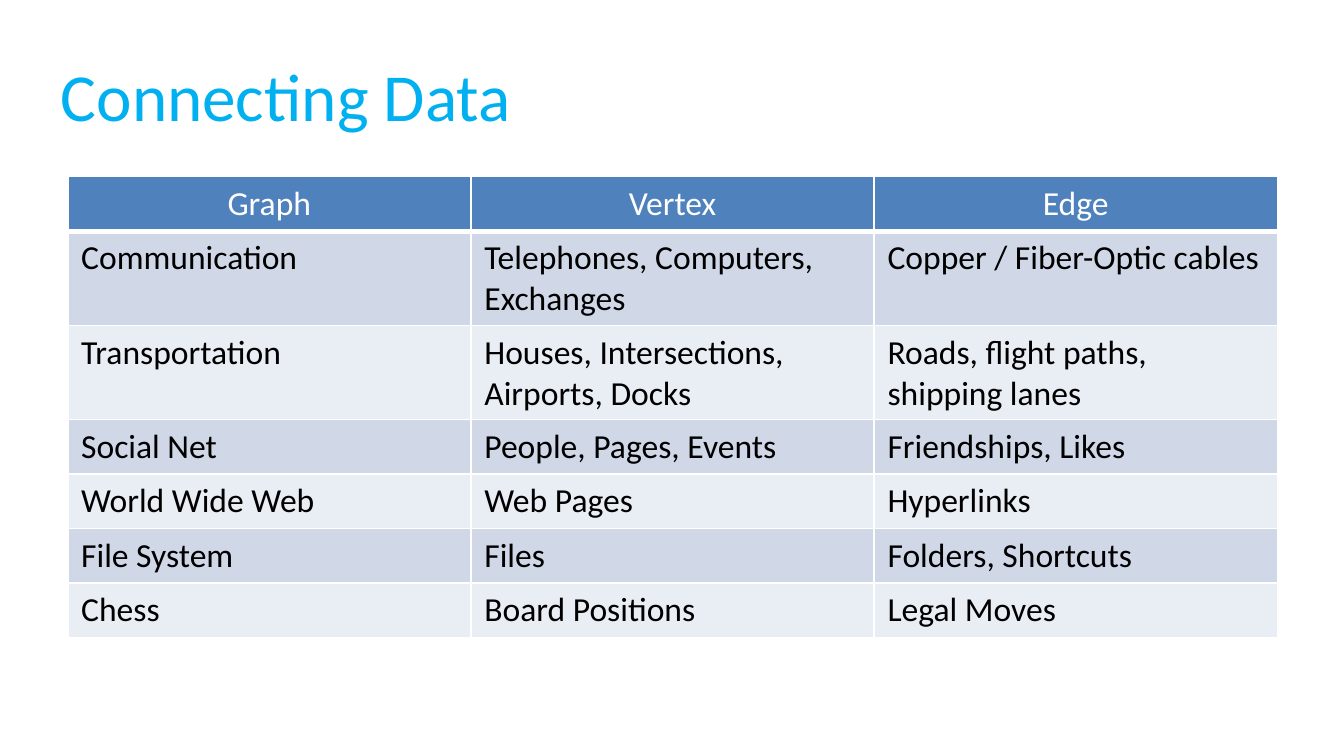
from lxml.etree import SubElement
from pptx import Presentation
from pptx.dml.color import RGBColor
from pptx.enum.text import MSO_ANCHOR as Anchor, PP_ALIGN as Align
from pptx.oxml.ns import qn
from pptx.util import Cm, Pt

WHITE = RGBColor(0xFF, 0xFF, 0xFF)
BLACK = RGBColor(0x00, 0x00, 0x00)
SKY = RGBColor(0x00, 0xB0, 0xF0)
HEADER_BLUE = RGBColor(0x4F, 0x81, 0xBD)
BANDS = RGBColor(0xD0, 0xD8, 0xE8), RGBColor(0xE9, 0xED, 0xF4)

GRAPHS = [
    ("Graph", "Vertex", "Edge"),
    ("Communication", "Telephones, Computers, Exchanges", "Copper / Fiber-Optic cables"),
    ("Transportation", "Houses, Intersections, Airports, Docks", "Roads, flight paths, shipping lanes"),
    ("Social Net", "People, Pages, Events", "Friendships, Likes"),
    ("World Wide Web", "Web Pages", "Hyperlinks"),
    ("File System", "Files", "Folders, Shortcuts"),
    ("Chess", "Board Positions", "Legal Moves"),
]


class SlideBuilder:
    """Holds the text style and the current page, and adds elements to it."""

    def __init__(self, page):
        self.page = page
        self.style = {"name": "Calibri", "bold": False}

    def add_text(self, frame, text, align=Align.LEFT, color=BLACK, **formats):
        para = frame.paragraphs[0]
        para.alignment = align
        span = para.add_run()
        span.text = text
        for name, value in {**self.style, **formats}.items():
            setattr(span.font, name, value)
        span.font.color.rgb = color

    def title(self, text, left, top, width, height):
        box = self.page.shapes.add_textbox(Cm(left), Cm(top), Cm(width), Cm(height))
        frame = box.text_frame
        frame.word_wrap = True
        frame.vertical_anchor = Anchor.MIDDLE
        self.add_text(frame, text, color=SKY, size=Pt(36))

    def border(self, cell, side, width):
        line = SubElement(cell._tc.get_or_add_tcPr(), qn(f"a:ln{side}"), w=str(Pt(width)))
        fill = SubElement(line, qn("a:solidFill"))
        SubElement(fill, qn("a:srgbClr"), val=str(WHITE))

    def table(self, rows, left, top, width, row_height):
        table = self.page.shapes.add_table(
            len(rows), len(rows[0]), Cm(left), Cm(top), Cm(width), Cm(row_height * len(rows))
        ).table
        for row_index, row in enumerate(rows):
            header = row_index == 0
            for column_index, text in enumerate(row):
                cell = table.cell(row_index, column_index)
                for side in "LRTB":
                    self.border(cell, side, 3 if header and side == "B" else 1)
                cell.fill.solid()
                cell.fill.fore_color.rgb = HEADER_BLUE if header else BANDS[(row_index - 1) % 2]
                self.add_text(
                    cell.text_frame,
                    text,
                    align=Align.CENTER if header else Align.LEFT,
                    color=WHITE if header else BLACK,
                    size=Pt(18),
                )


def main():
    deck = Presentation()
    deck.slide_width, deck.slide_height = Cm(25.4), Cm(14.29)
    builder = SlideBuilder(deck.slides.add_slide(deck.slide_layouts[6]))
    builder.title("Connecting Data", 0.9, 0.6, 23.25, 2.38)
    builder.table(GRAPHS, 1.28, 3.34, 22.86, 1.03)
    deck.save("out.pptx")


if __name__ == "__main__":
    main()
